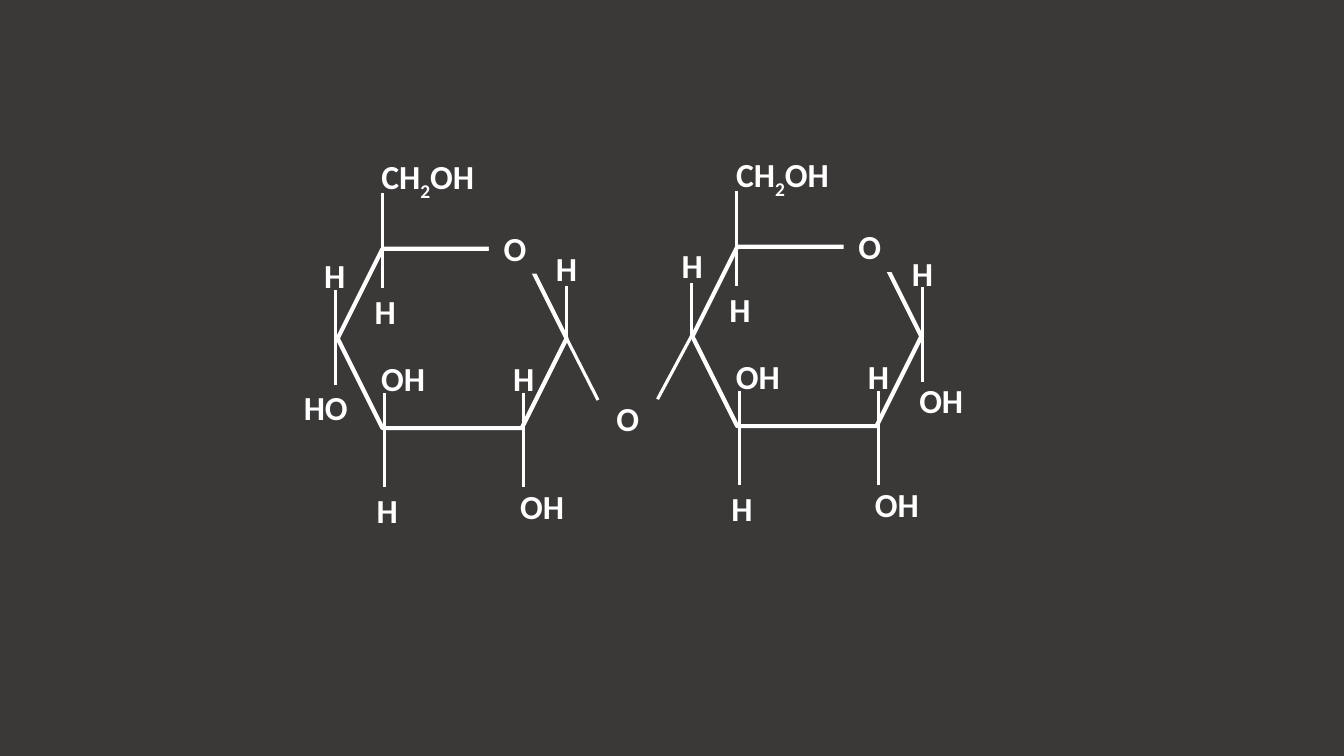
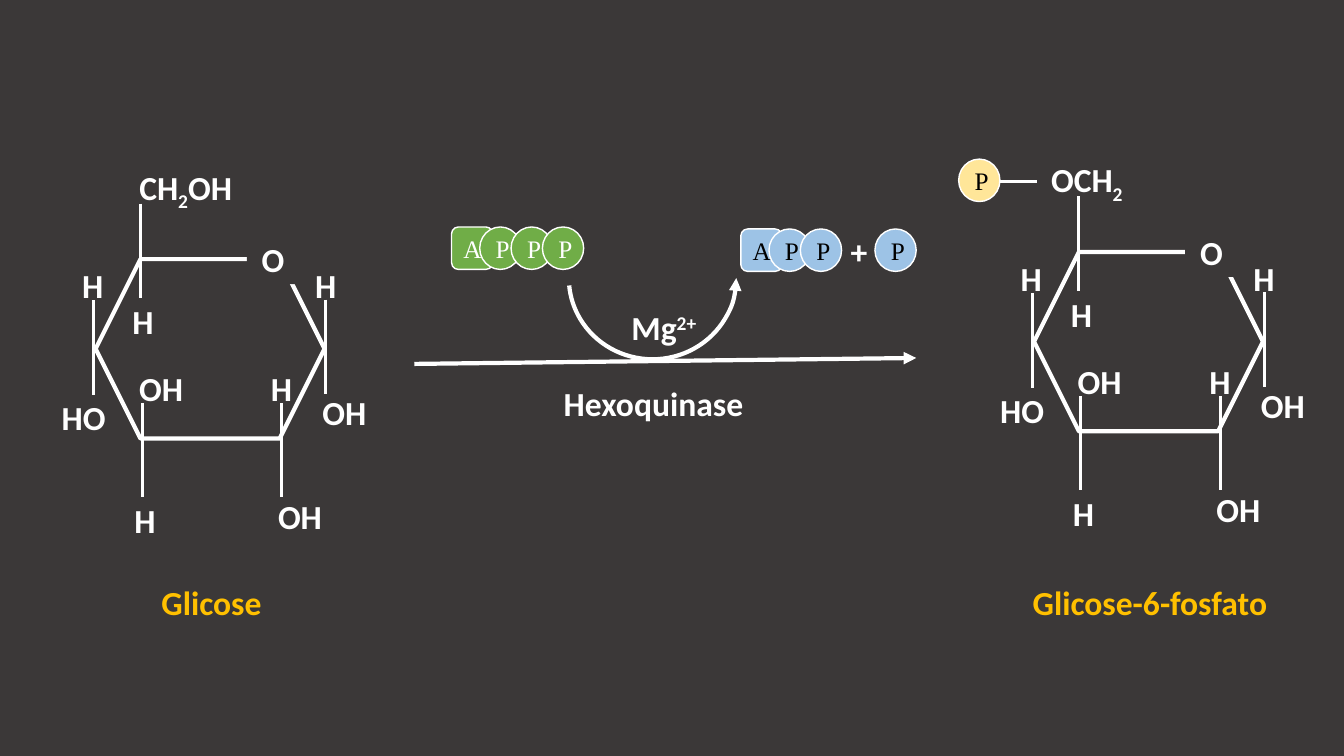
from pptx import Presentation
from pptx import util as u
from pptx.dml import color
from pptx.enum import shapes, text
from pptx.oxml import ns
from lxml import etree

COLORS = {
    "background": "3B3838",
    "white": "FFFFFF",
    "black": "000000",
    "caption": "FFC000",
    "atp": "70AD47",
    "adp": "9DC3E6",
    "phosphate": "FFE699",
}
BOND, OUTLINE = 2.25, 3
RING_W, RING_H = 5.77, 4.52
LABEL_H = 1.27
LABEL_WIDTHS = {1: 1.0, 2: 1.83}
CAPTION_W = 9.7
TOKEN_W, TOKEN_H = 1.04, 1.07
TOKEN_FIRST_GAP, TOKEN_GAP = 0.71, 0.79

HYDROXYMETHYL = (("CH", 0), ("2", -25000), ("OH", 0))
OXYMETHYLENE = (("OCH", 0), ("2", -25000))
MAGNESIUM = (("Mg", 0), ("2+", 30000))

RING_BONDS = (
    (1.18, 3.63, 6.0),
    (4.69, 3.63, 6.0),
    (1.12, -1.4, 0.98),
)
RING_LABELS = (
    ("OH", 1.65, 2.62),
    ("H", 1.23, 5.94),
    ("OH", 5.15, 5.84),
    ("H", 4.67, 2.62),
    ("H", 1.18, 0.94),
)
FREE_LEFT = ((-0.05, 1.04, 3.43), (("HO", -0.3, 3.35), ("H", -0.09, 0.03)))
FREE_RIGHT = ((5.8, 1.02, 3.4), (("OH", 6.27, 3.23), ("H", 5.78, 0.02)))
LINKED_LEFT = ((-0.02, 0.92, 2.25), (("H", -0.02, -0.18),))
LINKED_RIGHT = ((5.77, 0.94, 2.28), (("H", 5.75, -0.15),))


def rgb(name):
    return color.RGBColor.from_string(COLORS[name])


def style_line(shape, width, name="white"):
    shape.line.color.rgb = rgb(name)
    shape.line.width = u.Pt(width)


def add_arrowhead(shape, end):
    etree.SubElement(shape.line._get_or_add_ln(), ns.qn(f"a:{end}"), type="triangle")


def add_line(slide, start, finish, width=BOND):
    line = slide.shapes.add_connector(
        shapes.MSO_CONNECTOR.STRAIGHT, *(u.Cm(v) for v in (*start, *finish)))
    style_line(line, width)
    etree.SubElement(line._element.spPr, ns.qn("a:effectLst"))
    return line


def add_label(slide, content, center, top, width=None, tint="white"):
    pieces = ((content, 0),) if isinstance(content, str) else content
    width = width or LABEL_WIDTHS.get(len(content), 3.78)
    label = slide.shapes.add_textbox(
        u.Cm(center - width / 2), u.Cm(top), u.Cm(width), u.Cm(LABEL_H))
    frame = label.text_frame
    frame.word_wrap = True
    frame.auto_size = text.MSO_AUTO_SIZE.SHAPE_TO_FIT_TEXT
    formula = frame.paragraphs[0]
    formula.alignment = text.PP_ALIGN.CENTER
    for piece, baseline in pieces:
        run = formula.add_run()
        run.text = piece
        run.font.name, run.font.size, run.font.bold = "Calibri", u.Pt(24), True
        run.font.color.rgb = rgb(tint)
        if baseline:
            run._r.get_or_add_rPr().set("baseline", str(baseline))
    return label


def add_token(holder, letter, left, top, fill, ink="black"):
    outline = shapes.MSO_SHAPE.ROUNDED_RECTANGLE if letter == "A" else shapes.MSO_SHAPE.OVAL
    token = holder.shapes.add_shape(
        outline, u.Cm(left), u.Cm(top), u.Cm(TOKEN_W), u.Cm(TOKEN_H))
    token.shadow.inherit = False
    token.fill.solid()
    token.fill.fore_color.rgb = rgb(fill)
    style_line(token, 1)
    frame = token.text_frame
    frame.text = letter
    frame.vertical_anchor = text.MSO_ANCHOR.MIDDLE
    frame.paragraphs[0].alignment = text.PP_ALIGN.CENTER
    font = frame.paragraphs[0].runs[0].font
    font.name, font.size = "Times New Roman", u.Pt(18)
    font.color.rgb = rgb(ink)


def add_nucleotide(slide, letters, left, top, fill, ink="black"):
    nucleotide = slide.shapes.add_group_shape()
    for index, letter in enumerate(letters):
        offset = TOKEN_FIRST_GAP + (index - 1) * TOKEN_GAP if index else 0
        add_token(nucleotide, letter, left + offset, top, fill, ink)


def add_glucose(slide, left, top, left_side=FREE_LEFT, right_side=FREE_RIGHT,
                carbon_six=HYDROXYMETHYL, carbon_six_center=2.27):
    ring = slide.shapes.add_shape(
        shapes.MSO_SHAPE.HEXAGON, u.Cm(left), u.Cm(top), u.Cm(RING_W), u.Cm(RING_H))
    ring.shadow.inherit = False
    ring.fill.background()
    style_line(ring, OUTLINE)
    oxygen = add_label(slide, "O", left + 4.47, top - 0.64, 1.32)
    oxygen.fill.solid()
    oxygen.fill.fore_color.rgb = rgb("background")
    for x, y_start, y_end in (*RING_BONDS, left_side[0], right_side[0]):
        add_line(slide, (left + x, top + y_start), (left + x, top + y_end))
    for atom, center, y in (*RING_LABELS, *left_side[1], *right_side[1]):
        add_label(slide, atom, left + center, top + y)
    add_label(slide, carbon_six, left + carbon_six_center, top - 2.46, 3.78)


def add_glycosidic_link(slide, left, top):
    add_line(slide, (left, top), (left + 0.79, top + 1.55))
    add_line(slide, (left + 3.15, top - 0.07), (left + 2.29, top + 1.53))
    add_label(slide, "O", left + 1.54, top + 1.38, 1.12)


def add_phosphate(slide, left, top):
    add_line(slide, (left + 1.01, top + 0.56), (left + 1.98, top + 0.56))
    add_token(slide, "P", left, top, "phosphate")


def add_reaction(slide, left, top):
    reaction = add_line(slide, (left, top + 3.45), (left + 12.65, top + 3.3), OUTLINE)
    add_arrowhead(reaction, "tailEnd")
    add_label(slide, "Hexoquinase", left + 6.03, top + 3.81, CAPTION_W)
    add_nucleotide(slide, "APPP", left + 0.94, top, "atp", "white")
    add_nucleotide(slide, "APP", left + 8.23, top + 0.05, "adp")
    transfer = slide.shapes.add_shape(
        shapes.MSO_SHAPE.ARC, u.Cm(left + 3.96), u.Cm(top - 0.82), u.Cm(4.09), u.Cm(4.22))
    transfer.shadow.inherit = False
    transfer.rotation = 90
    transfer.adjustments[0], transfer.adjustments[1] = 162, 50.98
    transfer.fill.background()
    style_line(transfer, OUTLINE)
    add_arrowhead(transfer, "headEnd")
    add_token(slide, "P", left + 11.61, top + 0.05, "adp")
    add_label(slide, "+", left + 11.21, top - 0.03, 1.09)
    add_label(slide, MAGNESIUM, left + 6.29, top + 1.9, CAPTION_W)


def build_disaccharide(slide):
    add_glucose(slide, 8.51, 6.27, right_side=LINKED_RIGHT)
    add_glucose(slide, 17.45, 6.22, left_side=LINKED_LEFT)
    add_glycosidic_link(slide, 8.51 + RING_W, 6.27 + RING_H / 2)


def build_phosphorylation(slide):
    glucose_left, product_left, product_top = 2.41, 26.06, 6.35
    add_glucose(slide, glucose_left, 6.53)
    add_glucose(slide, product_left, product_top,
                carbon_six=OXYMETHYLENE, carbon_six_center=1.33)
    add_phosphate(slide, product_left - 1.9, product_top - 2.34)
    add_reaction(slide, 10.44, 5.72)
    for name, left in (("Glicose", glucose_left), ("Glicose-6-fosfato", product_left)):
        add_label(slide, name, left + 2.92, 14.53, CAPTION_W, "caption")


def main():
    deck = Presentation()
    deck.slide_width, deck.slide_height = u.Cm(33.87), u.Cm(19.05)
    backdrop = deck.slide_master.background.fill
    backdrop.solid()
    backdrop.fore_color.rgb = rgb("background")
    for build in (build_disaccharide, build_phosphorylation):
        build(deck.slides.add_slide(deck.slide_layouts[6]))
    deck.save("out.pptx")


if __name__ == "__main__":
    main()
